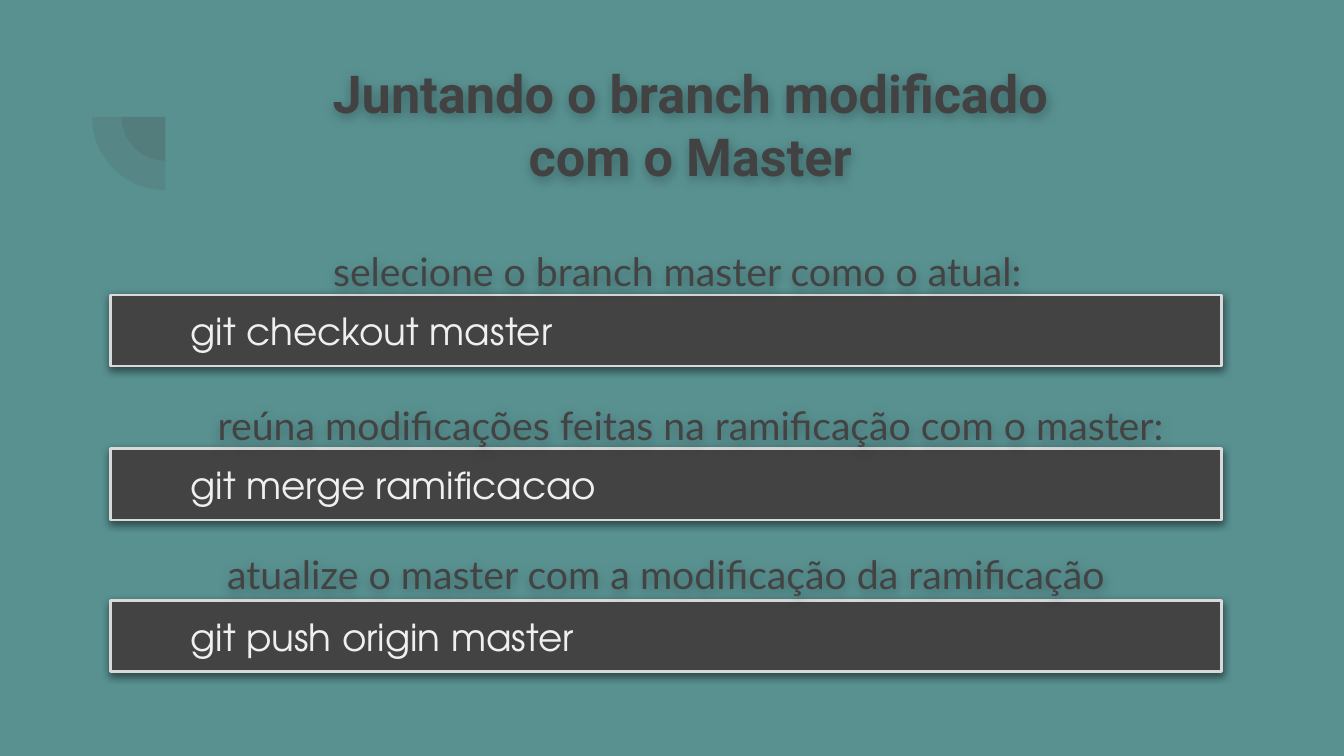
from lxml.etree import SubElement
from pptx import Presentation
from pptx.dml.color import RGBColor
from pptx.enum.shapes import MSO_SHAPE
from pptx.enum.text import MSO_ANCHOR, MSO_AUTO_SIZE, PP_ALIGN
from pptx.oxml.ns import qn
from pptx.util import Pt

PX = 4572  # 200 px to the inch
TEAL = RGBColor(0x59, 0x91, 0x91)
TITLE_GRAY = RGBColor(0x42, 0x42, 0x42)
DARK_GRAY = RGBColor(0x43, 0x43, 0x43)
BORDER_GRAY = RGBColor(0xD9, 0xD9, 0xD9)
CODE_WHITE = RGBColor(0xEF, 0xEF, 0xEF)


def add_soft_shadow(shape, blur, opacity):
    """Cast a black shadow downwards; blur in points, opacity in percent."""
    shape.shadow.inherit = False
    effects = shape._element.spPr.find(qn("a:effectLst"))
    shadow = SubElement(effects, qn("a:outerShdw"), blurRad=str(Pt(blur)),
                        dist=str(Pt(1.5)), dir="5400000", algn="bl", rotWithShape="0")
    color = SubElement(shadow, qn("a:srgbClr"), val="000000")
    SubElement(color, qn("a:alpha"), val=str(opacity * 1000))


def write_text(shape, text, font_name, size, color, anchor, alignment):
    """Fill the shape with one run and return its paragraph."""
    frame = shape.text_frame
    frame.word_wrap = True
    frame.auto_size = MSO_AUTO_SIZE.NONE
    frame.vertical_anchor = anchor
    frame.margin_left = frame.margin_right = 20 * PX
    frame.margin_top = frame.margin_bottom = 20 * PX
    paragraph = frame.paragraphs[0]
    paragraph.alignment = alignment
    run = paragraph.add_run()
    run.text = text
    run.font.name = font_name
    run.font.size = Pt(size)
    run.font.color.rgb = color
    return paragraph


presentation = Presentation()
presentation.slide_width = 2000 * PX
presentation.slide_height = 1125 * PX
slide = presentation.slides.add_slide(presentation.slide_layouts[5])
slide.background.fill.solid()
slide.background.fill.fore_color.rgb = TEAL

# Two quarter circles around one centre
for diameter in (130, 218):
    left, top = 246 - diameter // 2, 174 - diameter // 2
    quarter = slide.shapes.add_shape(MSO_SHAPE.PIE, left * PX, top * PX,
                                     diameter * PX, diameter * PX)
    quarter.rotation = 270
    quarter.adjustments[0] = 107.93
    quarter.adjustments[1] = 162
    quarter.shadow.inherit = False
    quarter.line.fill.background()
    quarter.fill.solid()
    quarter.fill.fore_color.rgb = TITLE_GRAY
    fill_color = quarter._element.spPr.find(".//" + qn("a:srgbClr"))
    SubElement(fill_color, qn("a:alpha"), val="13000")

title = slide.shapes.title
title.left, title.top, title.width, title.height = 438 * PX, 71 * PX, 1178 * PX, 164 * PX
paragraph = write_text(title, "Juntando o branch modificado com o Master", "Roboto", 28,
                       TITLE_GRAY, MSO_ANCHOR.TOP, PP_ALIGN.CENTER)
paragraph.runs[0].font.bold = True
add_soft_shadow(title, 6, 30)

# Caption text, left, top and width, then the command and its top
steps = [
    ("selecione o branch master como o atual:", 8, 338, 2000,
     "git checkout master", 439),
    ("reúna modificações feitas na ramificação com o master:", 28, 567, 2000,
     "git merge ramificacao", 668),
    ("atualize o master com a modificação da ramificação", 164, 789, 1654,
     "git push origin master", 894),
]
for caption, left, top, width, command, command_top in steps:
    command_box = slide.shapes.add_shape(MSO_SHAPE.RECTANGLE, 164 * PX, command_top * PX,
                                         1654 * PX, 106 * PX)
    command_box.fill.solid()
    command_box.fill.fore_color.rgb = DARK_GRAY
    command_box.line.color.rgb = BORDER_GRAY
    command_box.line.width = Pt(1.5)
    add_soft_shadow(command_box, 4.5, 50)
    paragraph = write_text(command_box, command, "TeX Gyre Adventor", 20, CODE_WHITE,
                           MSO_ANCHOR.MIDDLE, PP_ALIGN.LEFT)
    paragraph._p.get_or_add_pPr().set("marL", str(100 * PX))

    caption_box = slide.shapes.add_textbox(left * PX, top * PX, width * PX, 106 * PX)
    add_soft_shadow(caption_box, 6, 30)
    paragraph = write_text(caption_box, caption, "Lato", 21, DARK_GRAY,
                           MSO_ANCHOR.TOP, PP_ALIGN.CENTER)
    paragraph.line_spacing = 1.15
    paragraph.space_after = Pt(16)

presentation.save("out.pptx")
